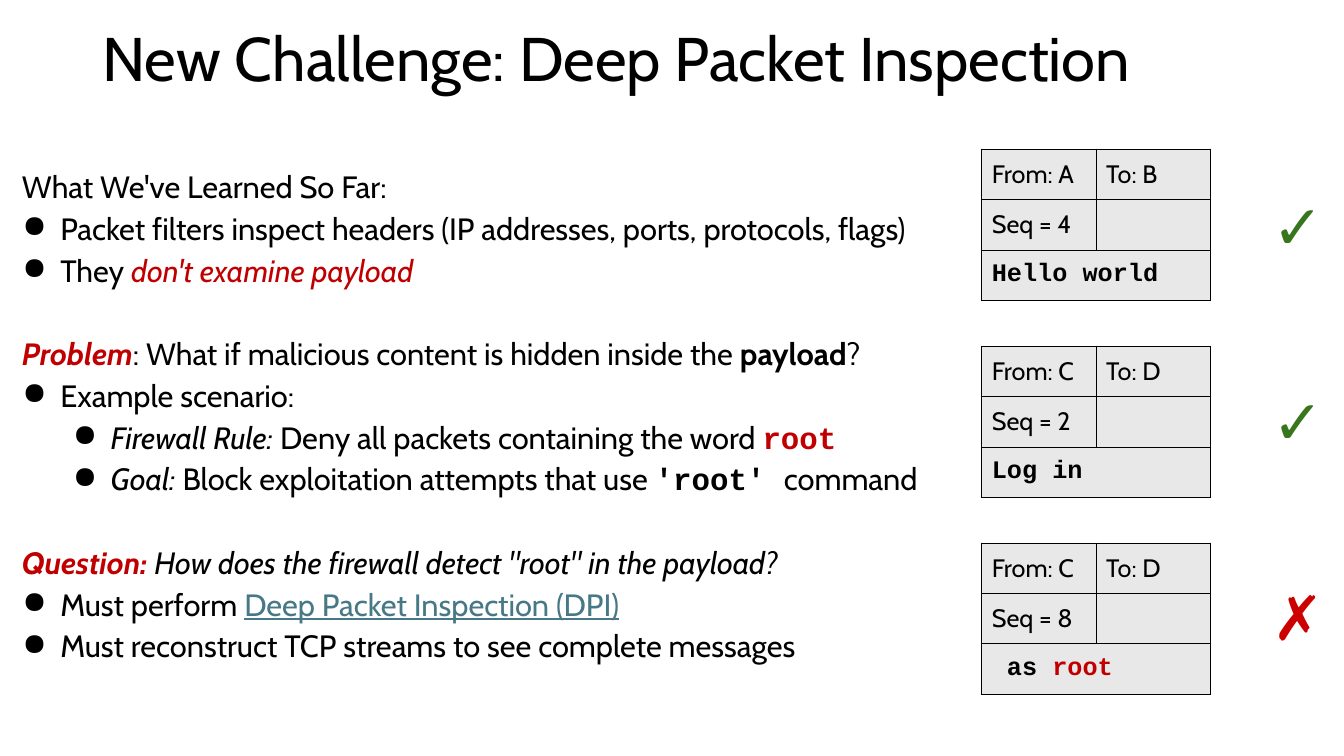
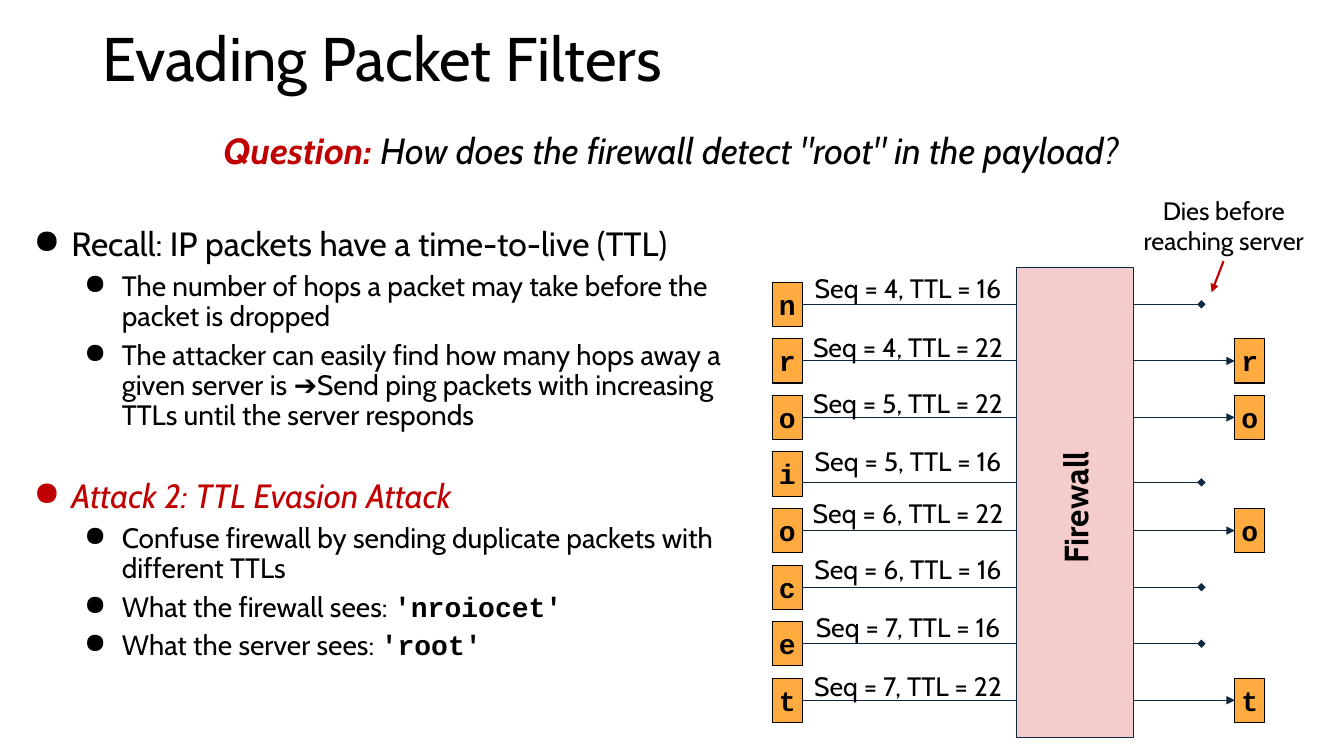
"""Build two slides on deep packet inspection and TTL evasion."""
from lxml import etree
from pptx import Presentation
from pptx.dml.color import RGBColor
from pptx.enum import shapes, text
from pptx.oxml import ns
from pptx.util import Pt

HUES = {"black": "000000", "red": "C00000", "cross": "CC0000", "tick": "38761D",
        "link": "467886", "grey": "E8E8E8", "amber": "FFAB40", "pink": "F4CCCC",
        "navy": "0E2841"}
RGB = {name: RGBColor.from_string(code) for name, code in HUES.items()}
DENTS = {"none": (0, 0), "flush": (8.64, 0), "main": (36, -27), "sub": (72, -27)}
MID = text.MSO_ANCHOR.MIDDLE
TOP = text.MSO_ANCHOR.TOP
LEFT = text.PP_ALIGN.LEFT
CENTER = text.PP_ALIGN.CENTER
STRAIGHT = shapes.MSO_CONNECTOR.STRAIGHT


def say(frame, *runs, size=22, hue="black", dent="none", lead=1, gap=0, after=0,
        align=LEFT):
    """Add a paragraph; a run is text or (text, flags): b, i, m(ono), r(ed), u(nderline)."""
    para = frame.paragraphs[0]
    if para.runs:
        para = frame.add_paragraph()
    para.alignment, para.line_spacing = align, lead
    para.space_before, para.space_after = Pt(gap), Pt(after)
    props = para._p.get_or_add_pPr()
    margin, hang = DENTS[dent]
    props.set("marL", str(Pt(margin)))
    props.set("indent", str(Pt(hang)))
    if hang:
        etree.SubElement(props, ns.qn("a:buChar")).set("char", "●")
    for item in runs:
        words, flags = (item, "") if isinstance(item, str) else item
        run = para.add_run()
        run.text = words
        font = run.font
        font.size, font.name = Pt(size), "Courier New" if "m" in flags else "Cabin"
        font.bold, font.italic = "b" in flags, "i" in flags
        font.underline = "u" in flags
        shade = "red" if "r" in flags else "link" if "u" in flags else hue
        font.color.rgb = RGB[shade]


def area(slide, x, y, w, h, inset=(7.2, 3.6, 7.2, 3.6), anchor=TOP, fill=None,
         line="black"):
    """Add a text box, or a rectangle when a fill is given."""
    place = Pt(x), Pt(y), Pt(w), Pt(h)
    if fill:
        shape = slide.shapes.add_shape(shapes.MSO_SHAPE.RECTANGLE, *place)
        shape.shadow.inherit = False
        shape.fill.solid()
        shape.fill.fore_color.rgb = RGB[fill]
        shape.line.color.rgb, shape.line.width = RGB[line], Pt(0.75)
    else:
        shape = slide.shapes.add_textbox(*place)
    frame = shape.text_frame
    frame.word_wrap, frame.vertical_anchor = True, anchor
    (frame.margin_left, frame.margin_top,
     frame.margin_right, frame.margin_bottom) = map(Pt, inset)
    return shape


deck = Presentation()
deck.slide_width, deck.slide_height = Pt(960), Pt(540)

asked = [("Question: ", "bir"), ('How does the firewall detect "root" in the payload?', "i")]
learned = [
    ("flush", 22, 0, ["What We've Learned So Far:"]),
    ("main", 22, 0, ["Packet filters inspect headers (IP addresses, ports, protocols, flags)"]),
    ("main", 22, 0, ["They ", ("don't examine payload", "ir")]),
    ("flush", 22, 30, [("Problem", "bir"), ": What if malicious content is hidden inside the ",
                       ("payload", "b"), "?"]),
    ("main", 22, 0, ["Example scenario:"]),
    ("sub", 22, 0, [("Firewall Rule: ", "i"), "Deny all packets containing the word ",
                    ("root", "bmr")]),
    ("sub", 22, 0, [("Goal: ", "i"), "Block exploitation attempts that use ",
                    ("'root' ", "bm"), "command"]),
    ("flush", 22, 30, asked),
    ("main", 22, 0, ["Must perform ", ("Deep Packet Inspection (DPI)", "u")]),
    ("main", 22, 0, ["Must reconstruct TCP streams to see complete messages"]),
]
evading = [
    ("main", 24, 0, ["Recall: IP packets have a time-to-live (TTL)"]),
    ("sub", 20, 0, ["The number of hops a packet may take before the packet is dropped"]),
    ("sub", 20, 0, ["The attacker can easily find how many hops away a given server is "
                    "➔Send ping packets with increasing TTLs until the server responds"]),
    ("main", 24, 28, [("Attack 2: TTL Evasion Attack", "ir")]),
    ("sub", 20, 0, ["Confuse firewall by sending duplicate packets with different TTLs"]),
    ("sub", 20, 0, ["What the firewall sees: ", ("'nroiocet'", "bm")]),
    ("sub", 20, 0, ["What the server sees: ", ("'root'", "bm")]),
]
pages = []
for title, place, lines in [
        ("New Challenge: Deep Packet Inspection", (0, 119.5, 692, 354), learned),
        ("Evading Packet Filters", (8, 159, 534, 329), evading)]:
    page = deck.slides.add_slide(deck.slide_layouts[6])
    pages.append(page)
    head = area(page, 66, 1.5, 828, 85, anchor=MID)
    say(head.text_frame, title, size=44, lead=0.9)
    body = area(page, *place)
    for dent, size, gap, runs in lines:
        say(body.text_frame, *runs, size=size, dent=dent, gap=gap, lead=0.9, after=6)
first, second = pages

packets = [
    ("From: A", "To: B", "Seq = 4", [("Hello world", "bm")], "✓", "tick"),
    ("From: C", "To: D", "Seq = 2", [("Log in", "bm")], "✓", "tick"),
    ("From: C", "To: D", "Seq = 8", [(" as ", "bm"), ("root", "bmr")], "✗", "cross"),
]
for i, (source, target, seq, load, mark, hue) in enumerate(packets):
    grid = first.shapes.add_table(3, 2, Pt(701.3), Pt(106.5 + 140.7 * i),
                                  Pt(163.4), Pt(108)).table
    grid.first_row = grid.horz_banding = False
    grid.cell(2, 0).merge(grid.cell(2, 1))
    for cell in grid.iter_cells():
        cell.margin_left = cell.margin_right = Pt(7.2)
        cell.margin_top = cell.margin_bottom = Pt(7.2)
        props = cell._tc.get_or_add_tcPr()
        for side in "LRTB":
            edge = etree.SubElement(props, ns.qn("a:ln" + side), w=str(Pt(0.75)))
            paint = etree.SubElement(edge, ns.qn("a:solidFill"))
            etree.SubElement(paint, ns.qn("a:srgbClr"), val=HUES["black"])
        cell.fill.solid()
        cell.fill.fore_color.rgb = RGB["grey"]
    for row, col, runs in [(0, 0, [source]), (0, 1, [target]), (1, 0, [seq]), (2, 0, load)]:
        say(grid.cell(row, col).text_frame, *runs, size=18)
    sign = area(first, 902, 126.7 + 139.7 * i, 40, 67.7, inset=[7.2] * 4)
    say(sign.text_frame, mark, size=44, hue=hue, align=CENTER)

ask = area(second, 122.4, 87.8, 715, 39)
say(ask.text_frame, *asked, size=26, align=CENTER)

wires = []
flows = [("n", 4, 16, 190.8, 0), ("r", 4, 22, 232.6, 0), ("o", 5, 22, 272.9, 0),
         ("i", 5, 16, 314.6, 6), ("o", 6, 22, 351.4, 0), ("c", 6, 16, 391.7, 0),
         ("e", 7, 16, 432.7, 0), ("t", 7, 22, 475.2, 0)]
for i, (char, seq, ttl, high, drop) in enumerate(flows):
    y = 201.6 + 40.4 * i
    lives = ttl == 22
    ends = []
    for x in [551.5, 882][:1 + lives]:
        tile = area(second, x, y, 21.6, 31.6, inset=[3.6] * 4, fill="amber")
        say(tile.text_frame, (char, "bm"), size=20, align=CENTER)
        ends.append(tile)
    level = Pt(y + 15.8 + drop)
    wire = second.shapes.add_connector(STRAIGHT, Pt(573.1), level, Pt(858.2), level)
    if not drop:
        wire.begin_connect(ends[0], 3)
    if lives:
        wire.end_connect(ends[1], 1)
    wires.append((wire, "navy", 0.75, "triangle" if lives else "diamond"))
    label = area(second, 573, high, 151.2, 30.2, inset=[3.6] * 4)
    say(label.text_frame, f"Seq = {seq}, TTL = {ttl}", size=19, align=CENTER)

wall = area(second, 599.8, 316.8, 336.2, 84.2, inset=(0, 7.2, 7.2, 7.2), anchor=MID,
            fill="pink", line="navy")
wall.rotation = 270
say(wall.text_frame, ("Firewall", "b"), size=24, align=CENTER)

note = area(second, 800, 136, 148.3, 51)
say(note.text_frame, "Dies before reaching server", size=18, align=CENTER)
wire = second.shapes.add_connector(STRAIGHT, Pt(874), Pt(186.5), Pt(865.4), Pt(208.8))
wires.append((wire, "red", 1.5, "triangle"))

for wire, hue, width, tip in wires:
    wire.line.color.rgb, wire.line.width = RGB[hue], Pt(width)
    etree.SubElement(wire.line._get_or_add_ln(), ns.qn("a:tailEnd"), type=tip)
    etree.SubElement(wire._element.spPr, ns.qn("a:effectLst"))

deck.save("out.pptx")
